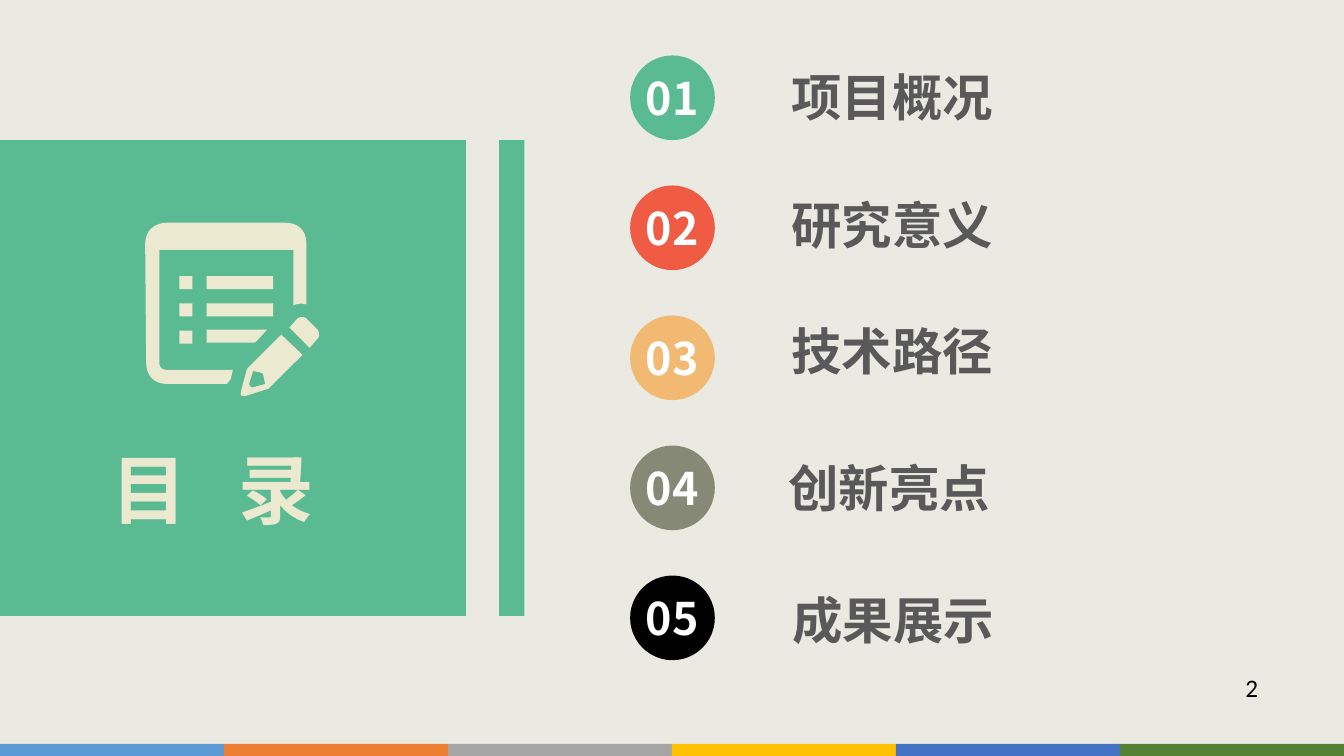
from lxml import etree
from pptx import Presentation
from pptx.dml.color import RGBColor
from pptx.enum.shapes import MSO_SHAPE
from pptx.enum.text import MSO_ANCHOR, MSO_AUTO_SIZE, PP_ALIGN
from pptx.oxml.ns import qn
from pptx.util import Inches, Pt

RECT, OVAL = MSO_SHAPE.RECTANGLE, MSO_SHAPE.OVAL
TOP, MIDDLE = MSO_ANCHOR.TOP, MSO_ANCHOR.MIDDLE
LEFT, CENTER = PP_ALIGN.LEFT, PP_ALIGN.CENTER
FIT_SHAPE = MSO_AUTO_SIZE.SHAPE_TO_FIT_TEXT

COLORS = {
    "background": "EBEAE2", "green": "5ABB93", "red": "EF5B43",
    "sand": "F2B973", "olive": "858976", "black": "000000",
    "cream": "EBE9D0", "grey": "595959", "white": "FFFFFF",
}
STRIPE_COLORS = ["5B9BD5", "ED7D31", "A5A5A5", "FFC000", "4472C4", "548235"]
CJK_FONT, NUMBER_FONT = "Noto Sans CJK SC", "Calibri"

TITLE_WORDS = ("目", "录")
PAGE_NUMBER = "2"
# wording, badge colour, left and top of the wording
CHAPTERS = [
    ("项目概况", "green", 7.75, 0.61),
    ("研究意义", "red", 7.75, 1.88),
    ("技术路径", "sand", 7.75, 3.13),
    ("创新亮点", "olive", 7.72, 4.49),
    ("成果展示", "black", 7.76, 5.79),
]

# Outlines in inches: a pair is a corner, six numbers are a cubic curve.
PAD = [(2.31, 3.67), (2.29, 3.76), (2.25, 3.81), (1.66, 3.81),
       (1.53, 3.81, 1.45, 3.73, 1.45, 3.6), (1.44, 2.42),
       (1.44, 2.29, 1.53, 2.21, 1.66, 2.21), (2.83, 2.21),
       (2.94, 2.21, 3.04, 2.27, 3.04, 2.42), (3.04, 3.02),
       (3, 3.01, 2.95, 3.01, 2.91, 3.03), (2.91, 2.48), (1.58, 2.48),
       (1.58, 3.59), (1.58, 3.64, 1.6, 3.67, 1.66, 3.67)]
PENCIL = [(2.79, 3.32), (3, 3.52), (2.68, 3.84),
          (2.67, 3.85, 2.66, 3.86, 2.65, 3.86), (2.43, 3.93),
          (2.42, 3.93, 2.4, 3.93, 2.39, 3.92),
          (2.38, 3.91, 2.39, 3.9, 2.39, 3.88), (2.45, 3.66), (2.47, 3.64)]
PENCIL_TIP = [(2.51, 3.68), (2.47, 3.81), (2.48, 3.84, 2.5, 3.85, 2.52, 3.84),
              (2.63, 3.81), (2.61, 3.71), (2.6, 3.7)]
ERASER = [(2.87, 3.25), (2.95, 3.16), (2.98, 3.14, 3.01, 3.14, 3.04, 3.16),
          (3.15, 3.27), (3.17, 3.3, 3.17, 3.34, 3.15, 3.36), (3.07, 3.45)]
SHORT_LINE = [(2.05, 3.27), (2.65, 3.27), (2.53, 3.4), (2.05, 3.4)]
ICON_OUTLINES = [[PAD], [PENCIL, PENCIL_TIP], [SHORT_LINE], [ERASER]]
LIST_TOPS = [2.74, 3.01, 3.28]
LIST_ROW_HEIGHT = 0.13

SLIDE_WIDTH, SLIDE_HEIGHT = 13.33, 7.5
STRIPE_HEIGHT = 0.12
BADGE_LEFT, BADGE_TOP, BADGE_SIZE, BADGE_PITCH = 6.25, 0.55, 0.84, 1.29
CURVE_STEPS = 8


def paint(shape, color):
    shape.shadow.inherit = False
    shape.fill.solid()
    shape.fill.fore_color.rgb = RGBColor.from_string(color)
    shape.line.fill.background()


def add_block(kind, color, *box):
    block = slide.shapes.add_shape(kind, *map(Inches, box))
    paint(block, color)
    return block


def flatten(outline):
    """Turn corners and cubic curves in inches into plain points in EMU."""
    points = []
    for step in outline:
        if len(step) == 2:
            points.append(step)
            continue
        controls = [points[-1], step[:2], step[2:4], step[4:]]
        for i in range(1, CURVE_STEPS + 1):
            t = i / CURVE_STEPS
            weights = ((1 - t) ** 3, 3 * t * (1 - t) ** 2, 3 * t * t * (1 - t), t ** 3)
            points.append(tuple(sum(w * c[axis] for w, c in zip(weights, controls))
                                for axis in (0, 1)))
    return [(Inches(x), Inches(y)) for x, y in points]


def add_outline(contours, color):
    first, *holes = map(flatten, contours)
    builder = slide.shapes.build_freeform(*first[0])
    builder.add_line_segments(first[1:], close=True)
    for hole in holes:
        builder.move_to(*hole[0])
        builder.add_line_segments(hole[1:], close=True)
    paint(builder.convert_to_shape(), color)


def add_run(paragraph, wording, size, color, font=CJK_FONT, bold=True):
    run = paragraph.add_run()
    run.text = wording
    run.font.size, run.font.bold, run.font.name = Pt(size), bold, font
    run.font.color.rgb = RGBColor.from_string(COLORS[color])
    etree.SubElement(run.font._element, qn("a:ea")).set("typeface", font)
    return run


def set_frame(shape, anchor, align, wrap=False):
    """Set the layout of a text frame and return its first paragraph."""
    frame = shape.text_frame
    frame.word_wrap, frame.vertical_anchor = wrap, anchor
    paragraph = frame.paragraphs[0]
    paragraph.alignment = align
    return paragraph


prs = Presentation()
prs.slide_width, prs.slide_height = Inches(SLIDE_WIDTH), Inches(SLIDE_HEIGHT)
slide = prs.slides.add_slide(prs.slide_layouts[5])
slide.background.fill.solid()
slide.background.fill.fore_color.rgb = RGBColor.from_string(COLORS["background"])

stripe_width = SLIDE_WIDTH / len(STRIPE_COLORS)
for i, stripe_color in enumerate(STRIPE_COLORS):
    add_block(RECT, stripe_color, i * stripe_width, SLIDE_HEIGHT - STRIPE_HEIGHT,
              stripe_width, STRIPE_HEIGHT)

add_block(RECT, COLORS["green"], 0, 1.39, 4.62, 4.72)
add_block(RECT, COLORS["green"], 4.95, 1.39, 0.25, 4.72)

for contours in ICON_OUTLINES:
    add_outline(contours, COLORS["cream"])
for top in LIST_TOPS:
    add_block(RECT, COLORS["cream"], 1.78, top, 0.13, LIST_ROW_HEIGHT)
for top in LIST_TOPS[:2]:
    add_block(RECT, COLORS["cream"], 2.05, top, 0.66, LIST_ROW_HEIGHT)

title = slide.shapes.title
title.left, title.top, title.width, title.height = map(Inches, (1.01, 4.34, 2.4, 1.01))
slide.shapes._spTree.append(title._element)  # in front of the green panel
title_line = set_frame(title, TOP, LEFT)
title.text_frame.auto_size = FIT_SHAPE
add_run(title_line, TITLE_WORDS[0], 54, "cream")
gap = add_run(title_line, " ", 54, "cream")
gap.font._element.set("spc", "2400")
add_run(title_line, TITLE_WORDS[1], 54, "cream")

for i, (wording, badge_color, left, top) in enumerate(CHAPTERS):
    badge = add_block(OVAL, COLORS[badge_color], BADGE_LEFT, BADGE_TOP + i * BADGE_PITCH,
                      BADGE_SIZE, BADGE_SIZE)
    add_run(set_frame(badge, MIDDLE, CENTER), f"{i + 1:02}", 32, "white")
    label = slide.shapes.add_textbox(*map(Inches, (left, top, 2.2, 0.71)))
    add_run(set_frame(label, TOP, LEFT), wording, 36, "grey")
    label.text_frame.auto_size = FIT_SHAPE

page = slide.shapes.add_textbox(*map(Inches, (11.8, 6.56, 1.23, 0.46)))
page_line = set_frame(page, MIDDLE, CENTER, wrap=True)
page_line.line_spacing = 1.2
add_run(page_line, PAGE_NUMBER, 18, "black", NUMBER_FONT, bold=False)

prs.save("out.pptx")
